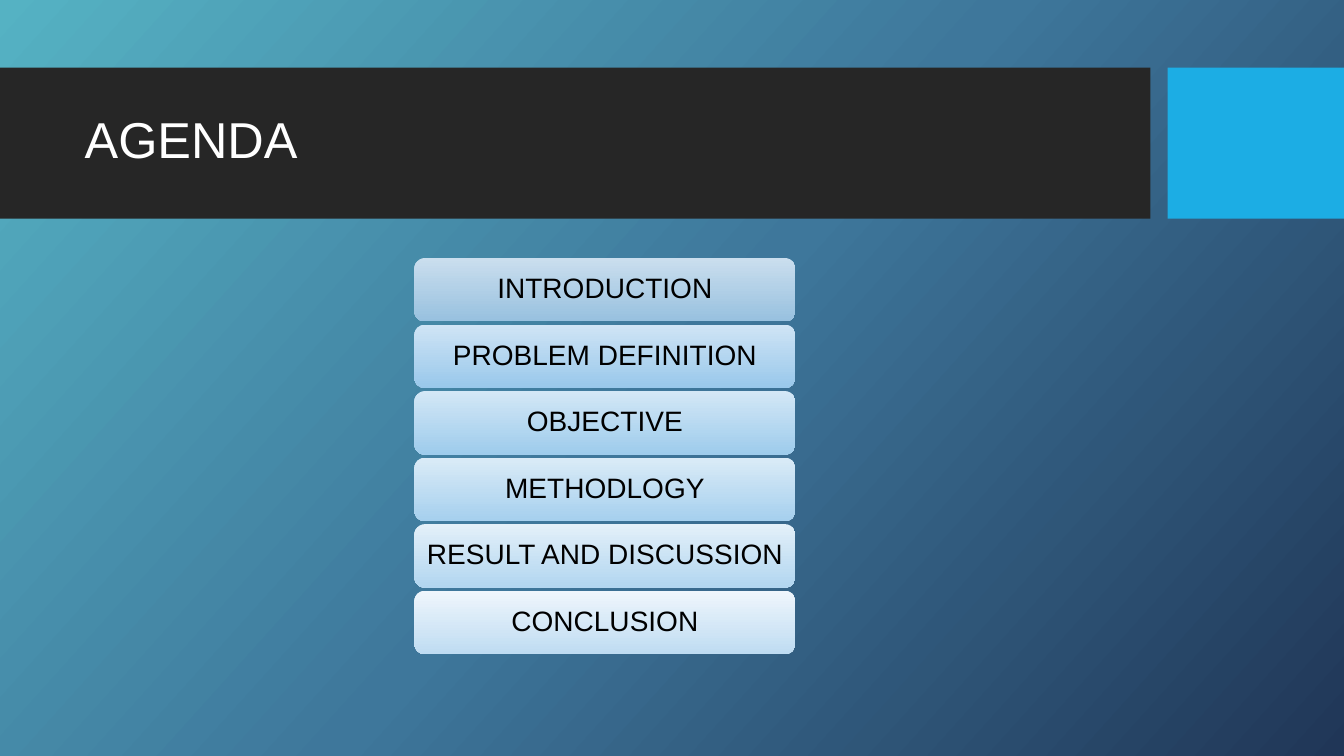
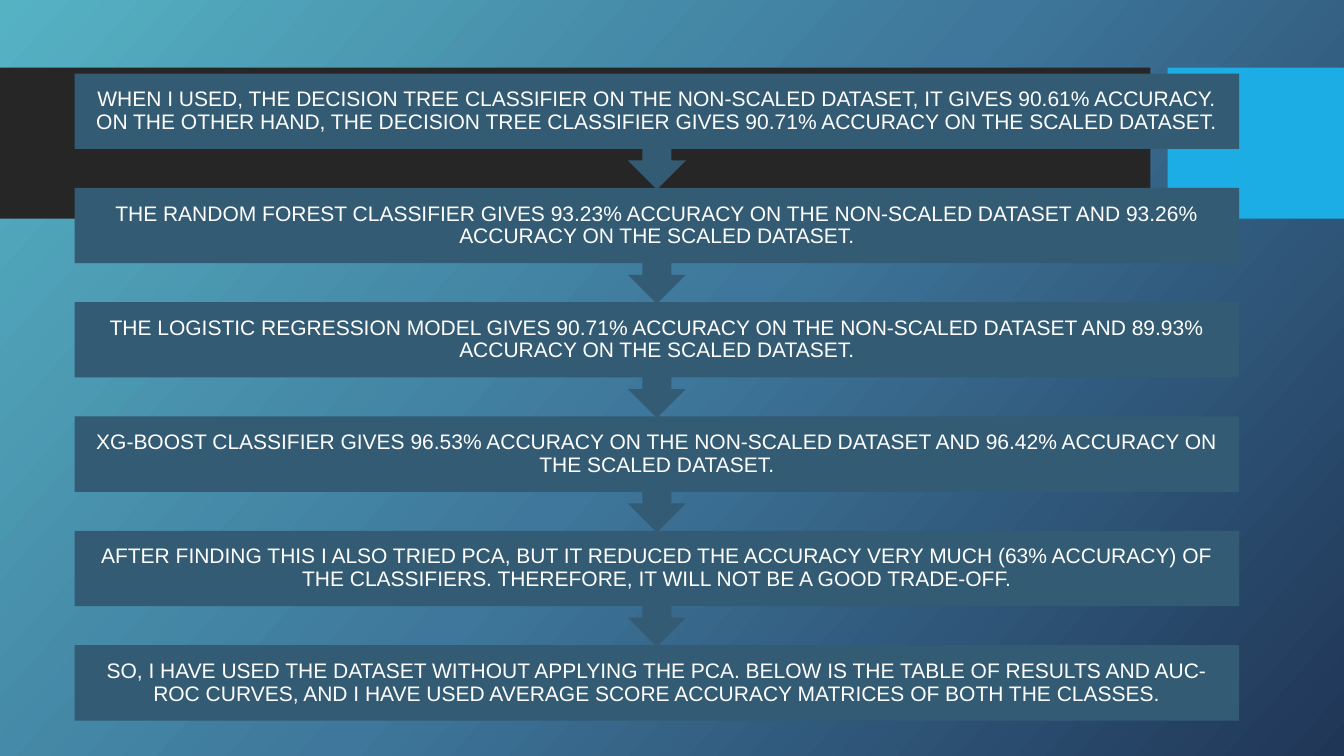
from copy import deepcopy

from pptx import Presentation
from pptx.dml.color import RGBColor
from pptx.enum.shapes import MSO_SHAPE
from pptx.enum.text import MSO_ANCHOR, PP_ALIGN
from pptx.oxml.ns import qn
from pptx.util import Inches, Pt

RECT = MSO_SHAPE.RECTANGLE
ROUND = MSO_SHAPE.ROUNDED_RECTANGLE
CALLOUT = MSO_SHAPE.DOWN_ARROW_CALLOUT
MIDDLE = MSO_ANCHOR.MIDDLE
LEFT, CENTER = PP_ALIGN.LEFT, PP_ALIGN.CENTER
TITLE_ONLY, BLANK = 5, 6

FONT = "Arial"
WHITE, BLACK, DARK, CYAN, SLATE = "FFFFFF", "000000", "262626", "1CADE4", "335B74"
BACK = ["55B2C3", "3E779B", "203657"]
BANDS = [((0, 0.67, 11.41, 1.5), DARK), ((11.58, 0.67, 1.75, 1.5), CYAN)]

AGENDA = [
    ("INTRODUCTION", "CADEEE", "98C1DF"),
    ("PROBLEM DEFINITION", "CFE4F5", "99C8EB"),
    ("OBJECTIVE", "D3E7F6", "9ECCEC"),
    ("METHODLOGY", "DAEBF7", "A6D0EE"),
    ("RESULT AND DISCUSSION", "E3F0F9", "B2D6F0"),
    ("CONCLUSION", "EFF6FC", "BFDCF2"),
]
STEPS = [
    "WHEN I USED, THE DECISION TREE CLASSIFIER ON THE NON-SCALED DATASET, IT GIVES "
    "90.61% ACCURACY. ON THE OTHER HAND, THE DECISION TREE CLASSIFIER GIVES 90.71% "
    "ACCURACY ON THE SCALED DATASET.",
    "THE RANDOM FOREST CLASSIFIER GIVES 93.23% ACCURACY ON THE NON-SCALED DATASET "
    "AND 93.26% ACCURACY ON THE SCALED DATASET.",
    "THE LOGISTIC REGRESSION MODEL GIVES 90.71% ACCURACY ON THE NON-SCALED DATASET "
    "AND 89.93% ACCURACY ON THE SCALED DATASET.",
    "XG-BOOST CLASSIFIER GIVES 96.53% ACCURACY ON THE NON-SCALED DATASET AND 96.42% "
    "ACCURACY ON THE SCALED DATASET.",
    "AFTER FINDING THIS I ALSO TRIED PCA, BUT IT REDUCED THE ACCURACY VERY MUCH (63% "
    "ACCURACY) OF THE CLASSIFIERS. THEREFORE, IT WILL NOT BE A GOOD TRADE-OFF.",
    "SO, I HAVE USED THE DATASET WITHOUT APPLYING THE PCA. BELOW IS THE TABLE OF "
    "RESULTS AND AUC-ROC CURVES, AND I HAVE USED AVERAGE SCORE ACCURACY MATRICES OF "
    "BOTH THE CLASSES.",
]


def rgb(code):
    return RGBColor.from_string(code)


def blend(fill, codes, angle):
    """Set a two-colour gradient; the angle runs clockwise."""
    fill.gradient()
    fill.gradient_angle = 360 - angle
    for stop, code, pos in zip(fill.gradient_stops, codes, (0, 1)):
        stop.color.rgb = rgb(code)
        stop.position = pos


def add_box(slide, kind, at, *codes):
    shape = slide.shapes.add_shape(kind, *map(Inches, at))
    shape.shadow.inherit = False
    shape.line.fill.background()
    if len(codes) > 1:
        blend(shape.fill, codes, 90)
    else:
        shape.fill.solid()
        shape.fill.fore_color.rgb = rgb(codes[0])
    return shape


def write(shape, text, size, color, align, inset):
    """Fill a shape with one paragraph; inset holds the side and top margins."""
    frame = shape.text_frame
    frame.word_wrap = True
    frame.vertical_anchor = MIDDLE
    frame.margin_left = frame.margin_right = Inches(inset[0])
    frame.margin_top = frame.margin_bottom = Inches(inset[1])
    para = frame.paragraphs[0]
    para.alignment = align
    para.line_spacing = 0.9
    run = para.add_run()
    run.text = text
    run.font.size = Pt(size)
    run.font.name = FONT
    run.font.color.rgb = rgb(color)


def set_master(master, slide):
    """Give the master its background and bands, the bands drawn by way of a slide."""
    fill = master.background.fill
    blend(fill, BACK[::2], 42)
    stops = master.element.find(".//" + qn("a:gsLst"))
    stops.insert(1, deepcopy(stops[0]))
    middle = fill.gradient_stops[1]
    middle.color.rgb = rgb(BACK[1])
    middle.position = 0.5
    tree = master.element.cSld.spTree
    for i, (at, code) in enumerate(BANDS):
        tree.insert(2 + i, add_box(slide, RECT, at, code).element)


def add_agenda(slide):
    title = slide.shapes.title
    title.left, title.top = Inches(0.74), Inches(0.82)
    title.width, title.height = Inches(10.51), Inches(1.18)
    write(title, "AGENDA", 36, WHITE, LEFT, (0.1, 0.05))
    for i, (text, light, deep) in enumerate(AGENDA):
        box = add_box(slide, ROUND, (4.11, 2.56 + 0.66 * i, 3.78, 0.63), light, deep)
        write(box, text, 20, BLACK, CENTER, (0.08, 0.04))


def add_steps(slide):
    last = len(STEPS) - 1
    first, final = 0.73, 6.4
    pitch = (final - first) / last
    for i, text in enumerate(STEPS):
        kind, height = (CALLOUT, 1.15) if i < last else (RECT, 0.75)
        box = add_box(slide, kind, (0.74, first + pitch * i, 11.55, height), SLATE)
        write(box, text, 15, WHITE, CENTER, (0.12, 0.12))


def main():
    prs = Presentation()
    prs.slide_width, prs.slide_height = Inches(13.33), Inches(7.5)
    agenda, steps = (
        prs.slides.add_slide(prs.slide_layouts[n]) for n in (TITLE_ONLY, BLANK)
    )
    set_master(prs.slide_master, agenda)
    add_agenda(agenda)
    add_steps(steps)
    prs.save("out.pptx")


if __name__ == "__main__":
    main()
